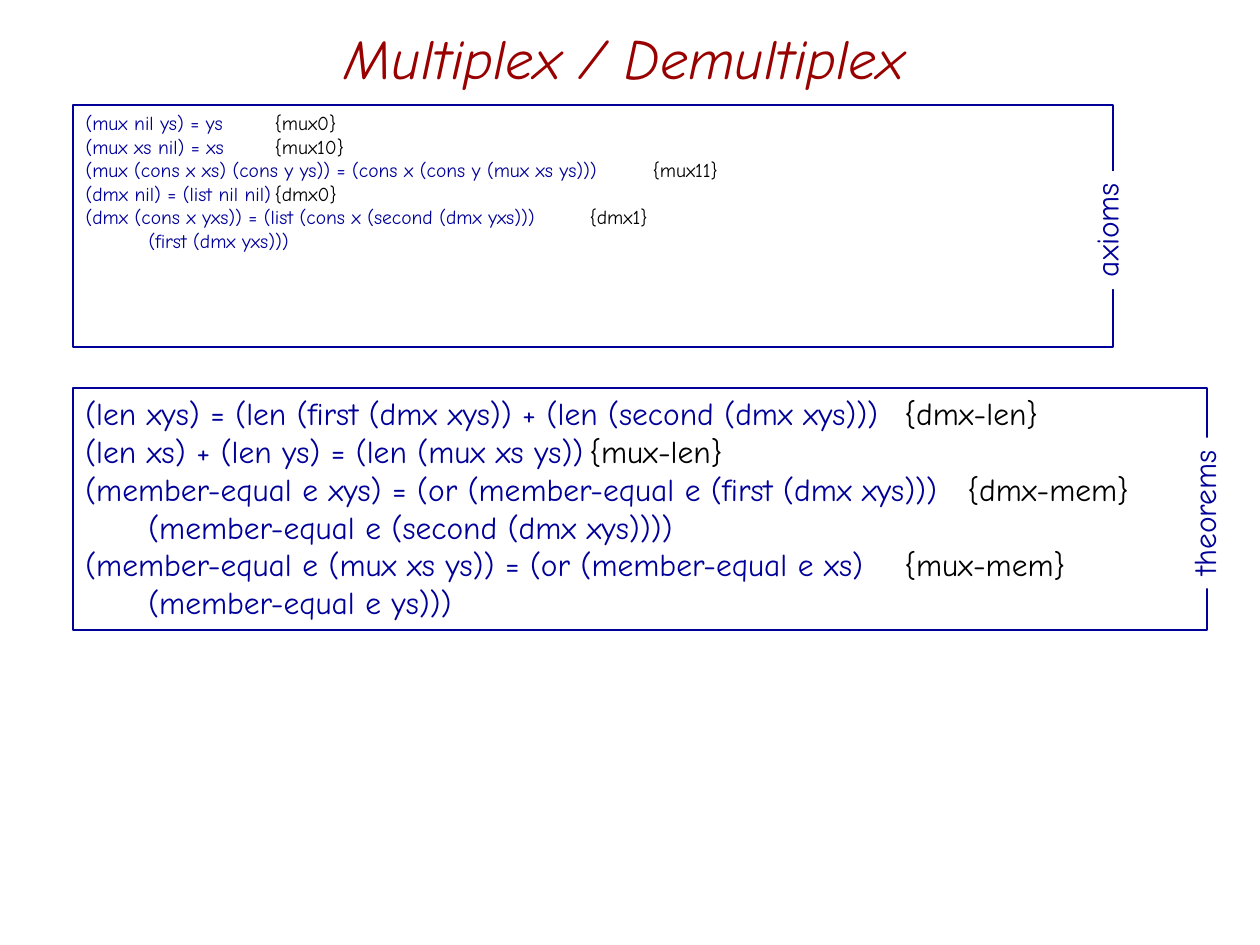
from lxml.etree import SubElement
from pptx import Presentation
from pptx.dml.color import RGBColor
from pptx.enum.shapes import MSO_SHAPE as SHAPE
from pptx.enum.text import MSO_ANCHOR as ANCHOR, MSO_AUTO_SIZE as AUTO, PP_ALIGN as ALIGN
from pptx.oxml.ns import qn
from pptx.util import Inches, Pt

PX = Inches(1) / 126
BLUE, RED, BLACK, WHITE = "000099", "990000", "000000", "FFFFFF"


def box(left, top, width, height):
    """Turn a px rectangle into EMU."""
    return [round(value * PX) for value in (left, top, width, height)]


def add_run(paragraph, text, size, color):
    run = paragraph.add_run()
    run.text = text
    run.font.name = "Comic Neue"
    run.font.size = Pt(size)
    run.font.color.rgb = RGBColor.from_string(color)
    return run


presentation = Presentation()
presentation.slide_width, presentation.slide_height = Inches(10), Inches(7.5)
slide = presentation.slides.add_slide(presentation.slide_layouts[1])

title = slide.shapes.title
title.left, title.top, title.width, title.height = box(147, 21, 955, 73)
title.text_frame.auto_size = AUTO.NONE
title.text_frame.vertical_anchor = ANCHOR.MIDDLE
title_paragraph = title.text_frame.paragraphs[0]
title_paragraph.alignment = ALIGN.CENTER
add_run(title_paragraph, "Multiplex / Demultiplex", 32, RED).font.italic = True

# Each line: equation, tab stop in px, text after the tab, its colour
axioms = [
    ("(mux nil ys) = ys", 804, "{mux0}", BLACK),
    ("(mux xs nil) = xs", 804, "{mux10}", BLACK),
    ("(mux (cons x xs) (cons y ys)) = (cons x (cons y (mux xs ys)))", 552, "{mux11}", BLACK),
    ("(dmx nil) = (list nil nil)", 804, "{dmx0}", BLACK),
    ("(dmx (cons x yxs)) = (list (cons x (second (dmx yxs)))", 552, "{dmx1}", BLACK),
    ("", 426, "(first (dmx yxs)))", BLUE),
]
theorems = [
    ("(len xys) = (len (first (dmx xys)) + (len (second (dmx xys)))", 857, "{dmx-len}", BLACK),
    ("(len xs) + (len ys) = (len (mux xs ys))", 857, "{mux-len}", BLACK),
    ("(member-equal e xys) = (or (member-equal e (first (dmx xys)))", 874, "{dmx-mem}", BLACK),
    ("", 468, "(member-equal e (second (dmx xys))))", BLUE),
    ("(member-equal e (mux xs ys)) = (or (member-equal e xs)", 857, "{mux-mem}", BLACK),
    ("", 595, "(member-equal e ys)))", BLUE),
]

body = slide.placeholders[1]
body.left, body.top, body.width, body.height = box(73, 105, 1029, 252)
axiom_group = slide.shapes.add_group_shape()
theorem_group = slide.shapes.add_group_shape()
theorem_text = theorem_group.shapes.add_textbox(*box(73, 388, 1124, 252))

for shape, lines, size in ((body, axioms, 11.2), (theorem_text, theorems, 18)):
    frame = shape.text_frame
    frame.word_wrap = True
    frame.auto_size = AUTO.NONE
    for index, (equation, stop, ending, color) in enumerate(lines):
        paragraph = frame.add_paragraph() if index else frame.paragraphs[0]
        paragraph.space_before = paragraph.space_after = Pt(0)
        properties = paragraph._p.get_or_add_pPr()
        properties.set("marL", "0")
        properties.set("indent", "0")
        SubElement(properties, qn("a:buNone"))
        tabs = SubElement(properties, qn("a:tabLst"))
        SubElement(tabs, qn("a:tab"), pos=str(round(stop * PX)), algn="l")
        add_run(paragraph, equation + "\t", size, BLUE)
        add_run(paragraph, ending, size, color)

for group, name, frame_box, label_box in (
    (axiom_group, "axioms", (73, 105, 1040, 242), (1047, 205, 118, 50)),
    (theorem_group, "theorems", (73, 388, 1134, 242), (1128, 488, 151, 50)),
):
    border = group.shapes.add_shape(SHAPE.RECTANGLE, *box(*frame_box))
    border.shadow.inherit = False
    border.fill.background()
    border.line.color.rgb = RGBColor.from_string(BLUE)
    border.line.width = Pt(1)

    label = group.shapes.add_shape(SHAPE.RECTANGLE, *box(*label_box))
    label.shadow.inherit = False
    label.rotation = 270
    label.fill.solid()
    label.fill.fore_color.rgb = RGBColor.from_string(WHITE)
    label.line.fill.background()
    label.text_frame.word_wrap = False
    label_paragraph = label.text_frame.paragraphs[0]
    label_paragraph.alignment = ALIGN.CENTER
    add_run(label_paragraph, name, 18, BLUE)

presentation.save("out.pptx")
